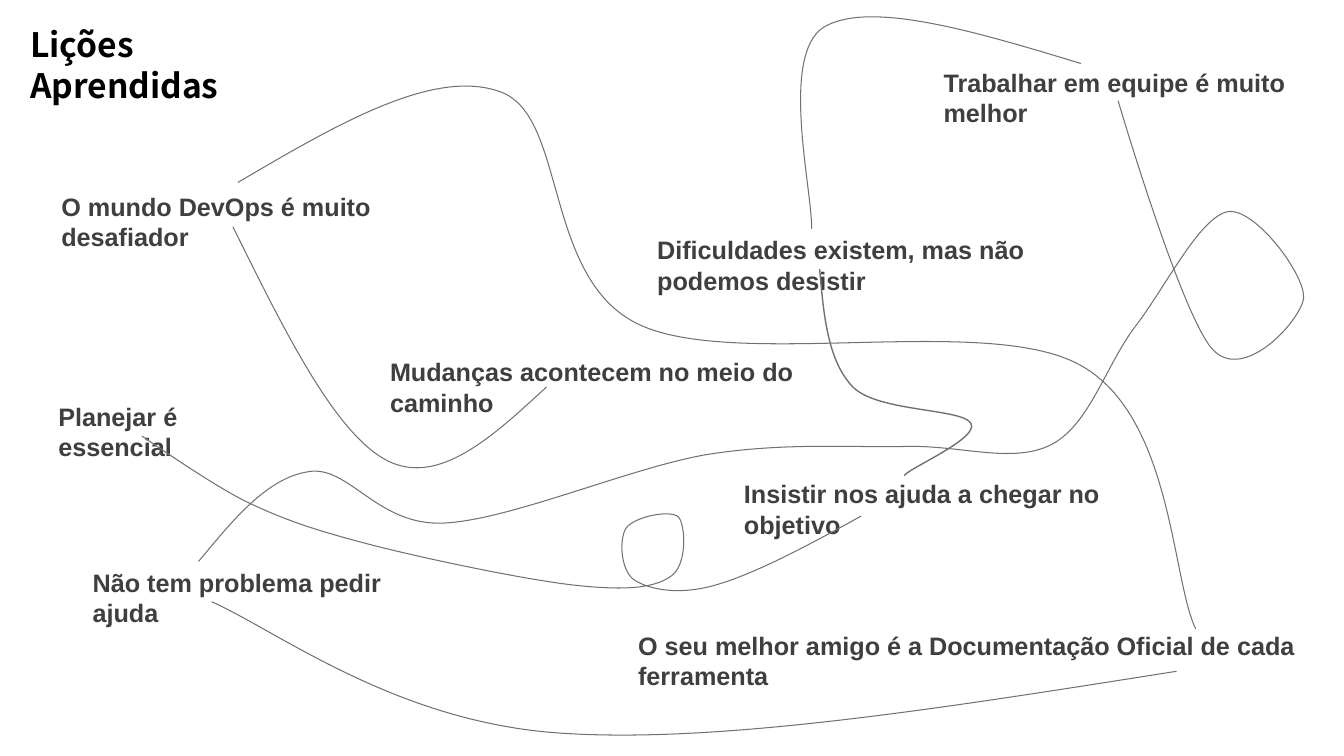
import lxml.etree
import pptx
import pptx.dml.color
import pptx.enum.text
import pptx.oxml.ns
import pptx.util

CELL = pptx.util.Inches(0.01)
COLUMNS, ROWS = 1333, 750
STEPS = 24


def rgb(value):
    return pptx.dml.color.RGBColor.from_string(value)


def bezier(ends, t):
    """Return the point at share t of a cubic curve given by four points."""
    weights = ((1 - t) ** 3, 3 * t * (1 - t) ** 2, 3 * t ** 2 * (1 - t), t ** 3)
    return tuple(round(sum(w * p[axis] for w, p in zip(weights, ends)) * CELL)
                 for axis in (0, 1))


deck = pptx.Presentation()
deck.slide_width, deck.slide_height = COLUMNS * CELL, ROWS * CELL
page = deck.slides.add_slide(deck.slide_layouts[6])

title_format = {"name": "Noto Sans CJK KR", "size": pptx.util.Pt(24), "bold": True}
lesson_format = {"name": "Arial", "size": pptx.util.Pt(18), "bold": True}

# Text, column, row, columns wide, rows high, indent, format, colour
texts = [("Lições Aprendidas", 20, 19, 208, 91, 0, title_format, "000000")]
lessons = [
    ("Mudanças acontecem no meio do caminho", 365, 349, 456, 12),
    ("O mundo DevOps é muito desafiador", 39, 185, 394, 12),
    ("O seu melhor amigo é a Documentação Oficial de cada ferramenta", 623, 620, 691, 0),
    ("Trabalhar em equipe é muito melhor", 926, 62, 379, 0),
    ("Planejar é essencial", 48, 393, 215, 0),
    ("Dificuldades existem, mas não podemos desistir", 642, 228, 494, 0),
    ("Não tem problema pedir ajuda", 82, 558, 321, 0),
    ("Insistir nos ajuda a chegar no objetivo", 728, 470, 395, 0),
]
for words, column, row, wide, indent in lessons:
    texts.append((words, column, row, wide, 40, indent, lesson_format, "3F3F3F"))

for words, column, row, wide, high, indent, font_format, color in texts:
    box = page.shapes.add_textbox(column * CELL, row * CELL, wide * CELL, high * CELL)
    box.text_frame.word_wrap = True
    box.text_frame.auto_size = pptx.enum.text.MSO_AUTO_SIZE.NONE
    para = box.text_frame.paragraphs[0]
    if indent:
        para._p.get_or_add_pPr().set("marL", str(indent * CELL))
    span = para.add_run()
    span.text = words
    for key, value in font_format.items():
        setattr(span.font, key, value)
    span.font.color.rgb = rgb(color)

# Line width, then a start point followed by two handles and an end per curve
trails = [
    (0.75, [(542, 384), (489, 433), (435, 483), (384, 457),
            (332, 430), (282, 328), (231, 225)]),
    (0.75, [(236, 181), (333, 124), (430, 67), (496, 91),
            (563, 114), (538, 277), (634, 322),
            (730, 367), (979, 311), (1071, 362),
            (1163, 412), (1162, 575), (1186, 624)]),
    (0.75, [(1167, 666), (939, 702), (710, 739), (551, 727),
            (391, 715), (275, 626), (210, 597)]),
    (0.75, [(1072, 63), (967, 31), (862, 0), (817, 27),
            (773, 55), (806, 190), (805, 227)]),
    (0.75, [(854, 512), (802, 541), (749, 569), (711, 580),
            (674, 591), (645, 585), (630, 576),
            (615, 567), (614, 534), (621, 524),
            (628, 513), (665, 505), (673, 513),
            (680, 521), (682, 561), (665, 572),
            (649, 583), (623, 586), (574, 581),
            (525, 576), (425, 555), (370, 541),
            (316, 527), (285, 517), (247, 499),
            (209, 481), (135, 428), (141, 433)]),
    (0.75, [(197, 557), (231, 516), (265, 474), (306, 468),
            (346, 461), (374, 522), (440, 519),
            (506, 516), (625, 464), (701, 451),
            (777, 439), (839, 444), (896, 443),
            (952, 441), (1004, 461), (1043, 441),
            (1081, 421), (1097, 362), (1126, 324),
            (1156, 285), (1190, 215), (1218, 210),
            (1245, 206), (1295, 273), (1293, 296),
            (1290, 318), (1234, 380), (1203, 347),
            (1172, 314), (1109, 100), (1109, 100)]),
    (1, [(813, 267), (817, 313), (821, 358), (846, 384),
         (871, 409), (955, 405), (963, 420),
         (972, 435), (898, 466), (897, 472)]),
]
for width, points in trails:
    # Points along the curve size the shape; its outline then becomes true curves
    builder = page.shapes.build_freeform(points[0][0] * CELL, points[0][1] * CELL)
    for first in range(0, len(points) - 1, 3):
        ends = points[first:first + 4]
        builder.add_line_segments([bezier(ends, step / STEPS)
                                   for step in range(1, STEPS + 1)], close=False)
    trail = builder.convert_to_shape()
    trail.shadow.inherit = False
    trail.fill.background()
    trail.line.color.rgb = rgb("757070")
    trail.line.width = pptx.util.Pt(width)

    outline = trail._element.find(".//" + pptx.oxml.ns.qn("a:path"))
    for segment in list(outline):
        outline.remove(segment)
    segments = [("a:moveTo", points[:1])]
    segments += [("a:cubicBezTo", points[first:first + 3])
                 for first in range(1, len(points), 3)]
    for tag, places in segments:
        segment = lxml.etree.SubElement(outline, pptx.oxml.ns.qn(tag))
        for x, y in places:
            lxml.etree.SubElement(segment, pptx.oxml.ns.qn("a:pt"),
                                  x=str(x * CELL - trail.left), y=str(y * CELL - trail.top))

deck.save("out.pptx")
